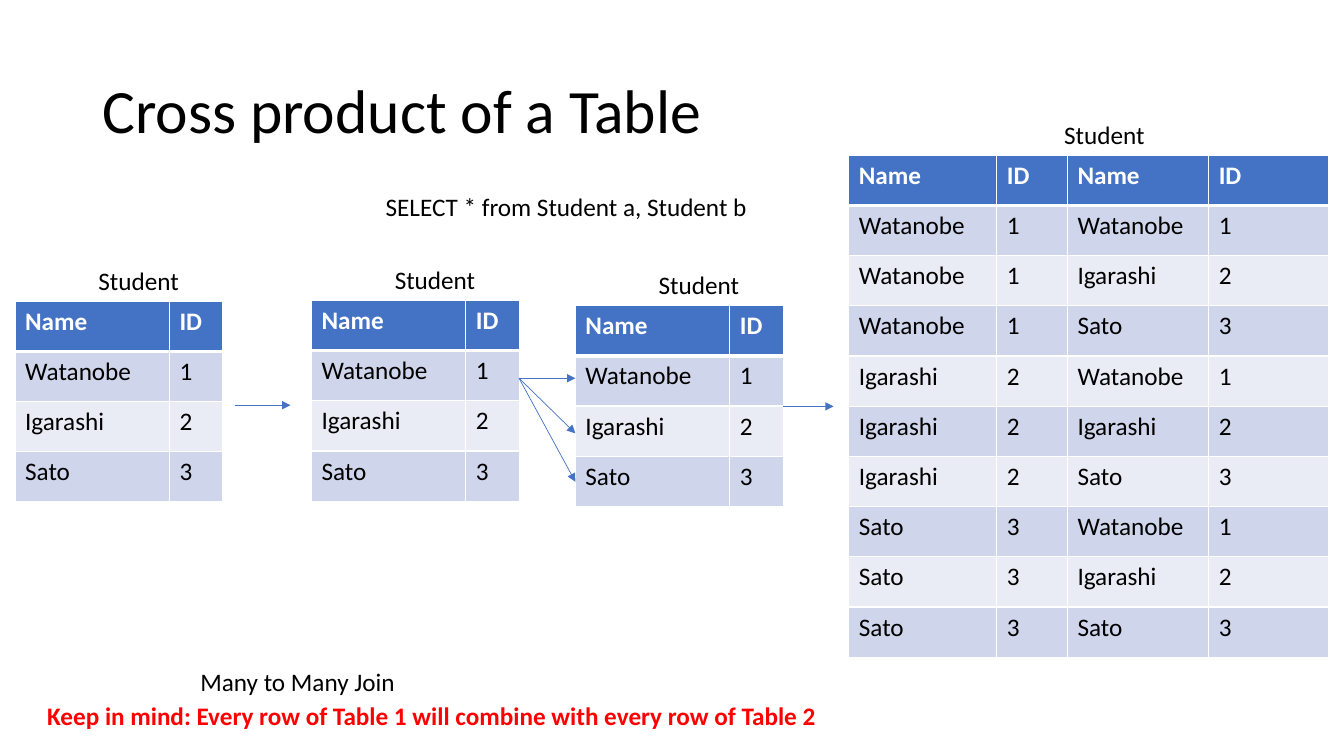
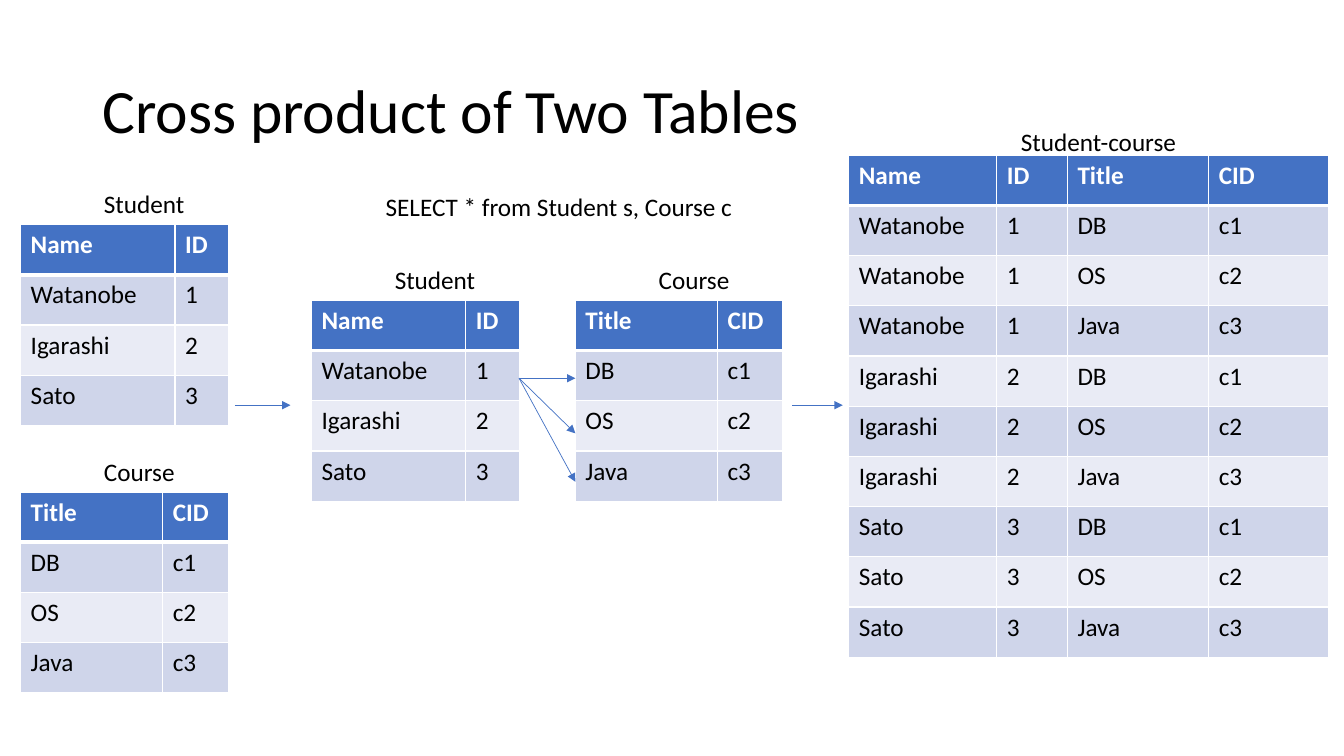
import itertools

import pptx
import pptx.dml.color
import pptx.enum.shapes
import pptx.enum.text
import pptx.oxml
import pptx.oxml.ns
import pptx.util

Cm = pptx.util.Cm
Pt = pptx.util.Pt

# Shared look
COLOURS = {
    "text": "000000",
    "header text": "FFFFFF",
    "header": "4472C4",
    "odd row": "CFD5EA",
    "even row": "E9EBF5",
    "border": "FFFFFF",
    "arrow": "4472C4",
    "warning": "FF0000",
}
FORMATS = {
    "title": {"name": "Calibri", "size": Pt(44), "bold": False},
    "body": {"name": "Calibri", "size": Pt(18), "bold": False},
    "strong": {"name": "Calibri", "size": Pt(18), "bold": True},
}

# Shared measures, in centimetres
LABEL_HEIGHT = 1.03
LABEL_WIDTHS = {"Student": 2.57, "Course": 2.31, "Student-course": 4.47}
LABEL_SHIFT = 1.85
ROW_HEIGHT = Cm(12.65) // 10
RESULT_COLUMNS = (3.73, 1.78, 3.56, 3.02)
RESULT_LEFT, RESULT_TOP = 21.39, 3.91
PAIR_LEFTS = (7.85, 14.5)
PAIR_TOP = 7.57

# Relations: header, rows and column widths
STUDENT = {
    "name": "Student",
    "header": ("Name", "ID"),
    "rows": (("Watanobe", "1"), ("Igarashi", "2"), ("Sato", "3")),
    "columns": (3.89, 1.35),
}
COURSE = {
    "name": "Course",
    "header": ("Title", "CID"),
    "rows": (("DB", "c1"), ("OS", "c2"), ("Java", "c3")),
    "columns": (3.58, 1.65),
}


def cross_product(name, first, second):
    pairs = itertools.product(first["rows"], second["rows"])
    return {
        "name": name,
        "header": first["header"] + second["header"],
        "rows": tuple(left + right for left, right in pairs),
        "columns": RESULT_COLUMNS,
    }


def colour(name):
    return pptx.dml.color.RGBColor.from_string(COLOURS[name])


def write(paragraph, text, style, colour_name):
    run = paragraph.add_run()
    run.text = text
    for attribute, value in FORMATS[style].items():
        setattr(run.font, attribute, value)
    run.font.color.rgb = colour(colour_name)


def add_title(slide, text):
    shape = slide.shapes.add_textbox(Cm(2.33), Cm(1.01), Cm(29.21), Cm(3.68))
    frame = shape.text_frame
    frame.word_wrap = True
    frame.vertical_anchor = pptx.enum.text.MSO_ANCHOR.MIDDLE
    frame.paragraphs[0].line_spacing = 0.9
    write(frame.paragraphs[0], text, "title", "text")


def add_label(slide, text, left, top, width, style="body", colour_name="text"):
    shape = slide.shapes.add_textbox(Cm(left), Cm(top), Cm(width), Cm(LABEL_HEIGHT))
    frame = shape.text_frame
    frame.word_wrap = False
    frame.auto_size = pptx.enum.text.MSO_AUTO_SIZE.SHAPE_TO_FIT_TEXT
    write(frame.paragraphs[0], text, style, colour_name)


def set_borders(cell, row_number):
    # The line under the header row is thicker
    widths = {
        "lnL": 1,
        "lnR": 1,
        "lnT": 3 if row_number == 1 else 1,
        "lnB": 3 if row_number == 0 else 1,
    }
    properties = cell._tc.get_or_add_tcPr()
    for position, (tag, width) in enumerate(widths.items()):
        line = pptx.oxml.parse_xml(
            f'<a:{tag} {pptx.oxml.ns.nsdecls("a")} w="{Pt(width)}"><a:solidFill>'
            f'<a:srgbClr val="{COLOURS["border"]}"/></a:solidFill></a:{tag}>'
        )
        properties.insert(position, line)


def fill_cell(cell, text, row_number):
    if row_number == 0:
        fill, style, text_colour = "header", "strong", "header text"
    else:
        fill = "odd row" if row_number % 2 else "even row"
        style, text_colour = "body", "text"
    cell.fill.solid()
    cell.fill.fore_color.rgb = colour(fill)
    set_borders(cell, row_number)
    write(cell.text_frame.paragraphs[0], text, style, text_colour)


def add_relation(slide, relation, left, top, label_shift=LABEL_SHIFT, label_drop=0):
    rows = (relation["header"],) + relation["rows"]
    widths = relation["columns"]
    table = slide.shapes.add_table(
        len(rows), len(widths), Cm(left), Cm(top),
        Cm(sum(widths)), ROW_HEIGHT * len(rows),
    ).table
    for column, width in zip(table.columns, widths):
        column.width = Cm(width)
    for row_number, texts in enumerate(rows):
        table.rows[row_number].height = ROW_HEIGHT
        for column_number, text in enumerate(texts):
            fill_cell(table.cell(row_number, column_number), text, row_number)
    name = relation["name"]
    label_top = top - LABEL_HEIGHT + label_drop
    add_label(slide, name, left + label_shift, label_top, LABEL_WIDTHS[name])


def add_arrow(slide, start, end):
    connector = slide.shapes.add_connector(
        pptx.enum.shapes.MSO_CONNECTOR.STRAIGHT,
        Cm(start[0]), Cm(start[1]), Cm(end[0]), Cm(end[1]),
    )
    connector.line.color.rgb = colour("arrow")
    connector.line.width = Pt(0.5)
    namespace = pptx.oxml.ns.nsdecls("a")
    line = connector.line._get_or_add_ln()
    line.append(pptx.oxml.parse_xml(f'<a:tailEnd {namespace} type="triangle"/>'))
    connector._element.spPr.append(pptx.oxml.parse_xml(f"<a:effectLst {namespace}/>"))


def add_join_arrows(slide, result_start):
    # Inputs to pair, first row to every row, pair to result
    add_arrow(slide, (5.92, 10.21), (7.32, 10.21))
    for row_middle in (9.53, 10.92, 12.14):
        add_arrow(slide, (13.08, 9.53), (14.5, row_middle))
    left, top = result_start
    add_arrow(slide, result_start, (left + 1.27, top))


def add_self_join_slide(slide):
    add_title(slide, "Cross product of a Table")
    add_label(slide, "SELECT * from Student a, Student b", 9.47, 4.7, 9.73)
    add_relation(slide, STUDENT, 0.38, 7.59)
    add_relation(slide, STUDENT, PAIR_LEFTS[0], PAIR_TOP)
    add_relation(slide, STUDENT, PAIR_LEFTS[1], 7.7)
    result = cross_product("Student", STUDENT, STUDENT)
    add_relation(slide, result, RESULT_LEFT, RESULT_TOP, label_shift=5.18)
    add_join_arrows(slide, (19.74, 10.24))
    add_label(
        slide,
        "Keep in mind: Every row of Table 1 will combine with every row of Table 2",
        0.94, 17.53, 20.04, "strong", "warning",
    )
    add_label(slide, "Many to Many Join", 4.8, 16.66, 5.46)


def add_two_table_slide(slide):
    add_title(slide, "Cross product of Two Tables")
    add_label(slide, "SELECT * from Student s, Course c", 9.47, 4.7, 9.68)
    for relation, input_top, pair_left in zip(
        (STUDENT, COURSE), (5.66, 12.4), PAIR_LEFTS
    ):
        add_relation(slide, relation, 0.52, input_top)
        add_relation(slide, relation, pair_left, PAIR_TOP)
    result = cross_product("Student-course", STUDENT, COURSE)
    add_relation(
        slide, result, RESULT_LEFT, RESULT_TOP, label_shift=4.09, label_drop=0.18
    )
    add_join_arrows(slide, (19.97, 10.21))


def main():
    presentation = pptx.Presentation()
    presentation.slide_width = Cm(33.87)
    presentation.slide_height = Cm(19.05)
    blank_layout = presentation.slide_layouts[6]
    for build in (add_self_join_slide, add_two_table_slide):
        build(presentation.slides.add_slide(blank_layout))
    presentation.save("out.pptx")


if __name__ == "__main__":
    main()
